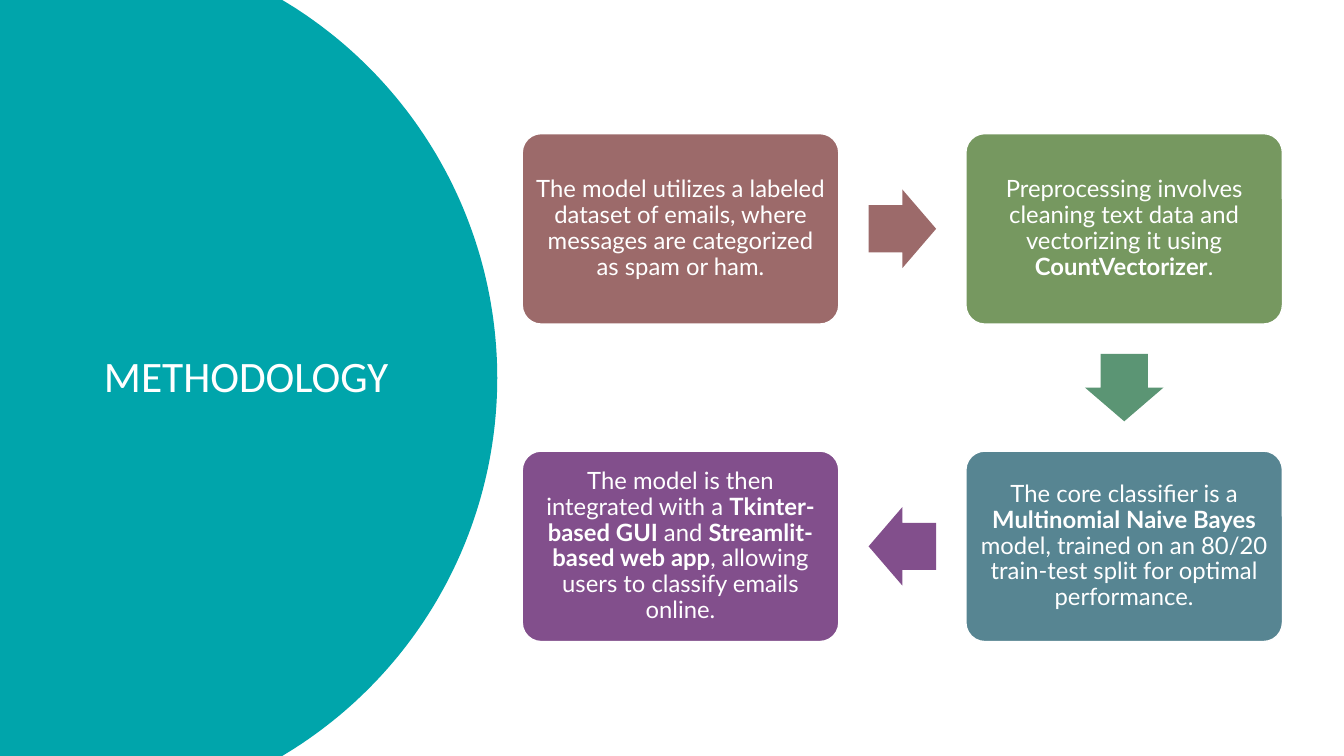
from math import asin, cos, sin

from pptx import Presentation
from pptx.dml.color import RGBColor
from pptx.enum.shapes import MSO_SHAPE
from pptx.enum.text import MSO_ANCHOR, PP_ALIGN
from pptx.util import Inches, Pt

ROUNDED = MSO_SHAPE.ROUNDED_RECTANGLE
ARROW = MSO_SHAPE.RIGHT_ARROW
MIDDLE = MSO_ANCHOR.MIDDLE
LEFT, CENTER = PP_ALIGN.LEFT, PP_ALIGN.CENTER

COLORS = {
    "white": "FFFFFF",
    "teal": "00A5AB",
    "rose": "9C6A6A",
    "olive": "769860",
    "green": "5B9574",
    "blue": "578592",
    "purple": "824F8C",
}

# column, row, colour, runs as (text, bold)
STEPS = [
    (0, 0, "rose", [
        ("The model utilizes a labeled dataset of emails, where messages "
         "are categorized as spam or ham.", False)]),
    (1, 0, "olive", [
        ("Preprocessing involves cleaning text data and vectorizing it using ", False),
        ("CountVectorizer", True),
        (".", False)]),
    (1, 1, "blue", [
        ("The core classifier is a ", False),
        ("Multinomial Naive Bayes", True),
        (" model, trained on an 80/20 train-test split for optimal performance.", False)]),
    (0, 1, "purple", [
        ("The model is then integrated with a ", False),
        ("Tkinter-based GUI ", True),
        ("and ", False),
        ("Streamlit-based web app", True),
        (", allowing users to classify emails online.", False)]),
]

# column, row, colour, rotation
ARROWS = [
    (0.5, 0, "rose", 0),
    (1, 0.5, "green", 90),
    (0.5, 1, "purple", 180),
]


class Deck:
    WIDTH, HEIGHT = 13.33, 7.5
    # centre of the first grid cell, and the distance between cells
    X0, Y0 = 6.75, 2.27
    COLUMN, ROW = 4.4, 3.15
    CARD = (3.14, 1.89)
    ARROW_SIZE = (0.67, 0.78)

    def __init__(self):
        self.prs = Presentation()
        self.prs.slide_width = Inches(self.WIDTH)
        self.prs.slide_height = Inches(self.HEIGHT)
        self.slide = self.prs.slides.add_slide(self.prs.slide_layouts[6])

    def color(self, name):
        return RGBColor.from_string(COLORS[name])

    def paint(self, sp, fill, line=None):
        sp.shadow.inherit = False
        sp.fill.solid()
        sp.fill.fore_color.rgb = self.color(fill)
        if line:
            sp.line.color.rgb = self.color(line)
            sp.line.width = Pt(1)
        else:
            sp.line.fill.background()

    def add_text(self, sp, runs, font, size, align, inset):
        tf = sp.text_frame
        tf.word_wrap = True
        tf.vertical_anchor = MIDDLE
        tf.margin_left = tf.margin_right = Inches(inset)
        tf.margin_top = tf.margin_bottom = Inches(0.07)
        p = tf.paragraphs[0]
        p.alignment = align
        p.line_spacing = 0.9
        for text, bold in runs:
            r = p.add_run()
            r.text = text
            r.font.name = font
            r.font.size = Pt(size)
            r.font.bold = bold
            r.font.color.rgb = self.color("white")

    def cell_shape(self, kind, column, row, size):
        """Add a shape centred on a grid position."""
        w, h = size
        x = self.X0 + column * self.COLUMN - w / 2
        y = self.Y0 + row * self.ROW - h / 2
        return self.slide.shapes.add_shape(
            kind, Inches(x), Inches(y), Inches(w), Inches(h))

    def panel(self, edge, bulge, fill, steps=120):
        """Fill the left side up to an arc from edge to bulge (shares of width)."""
        half = self.HEIGHT / 2
        depth = (bulge - edge) * self.WIDTH
        radius = (depth ** 2 + half ** 2) / (2 * depth)
        center = bulge * self.WIDTH - radius
        reach = asin(half / radius)
        angles = [reach * (2 * i / steps - 1) for i in range(steps + 1)]
        arc = [(Inches(center + radius * cos(a)), Inches(half + radius * sin(a)))
               for a in angles]
        builder = self.slide.shapes.build_freeform(0, 0)
        builder.add_line_segments(arc + [(0, Inches(self.HEIGHT))], close=True)
        self.paint(builder.convert_to_shape(), fill)

    def title(self, text, left, top, width, height):
        """Add the title; lengths are shares of the slide."""
        sp = self.slide.shapes.add_textbox(
            Inches(left * self.WIDTH), Inches(top * self.HEIGHT),
            Inches(width * self.WIDTH), Inches(height * self.HEIGHT))
        self.add_text(sp, [(text, False)], "Calibri", 31, LEFT, 0.1)

    def card(self, column, row, fill, runs):
        sp = self.cell_shape(ROUNDED, column, row, self.CARD)
        sp.adjustments[0] = 0.1
        self.paint(sp, fill, "white")
        self.add_text(sp, runs, "Lato", 17, CENTER, 0.07)

    def arrow(self, column, row, fill, rotation):
        sp = self.cell_shape(ARROW, column, row, self.ARROW_SIZE)
        sp.adjustments[0] = 0.6
        sp.adjustments[1] = 0.5
        sp.rotation = rotation
        self.paint(sp, fill)


def main():
    deck = Deck()
    deck.panel(0.21, 0.37, "teal")
    deck.title("METHODOLOGY", 0.07, 0.09, 0.24, 0.82)
    for step in STEPS:
        deck.card(*step)
    for arrow in ARROWS:
        deck.arrow(*arrow)
    deck.prs.save("out.pptx")


if __name__ == "__main__":
    main()
